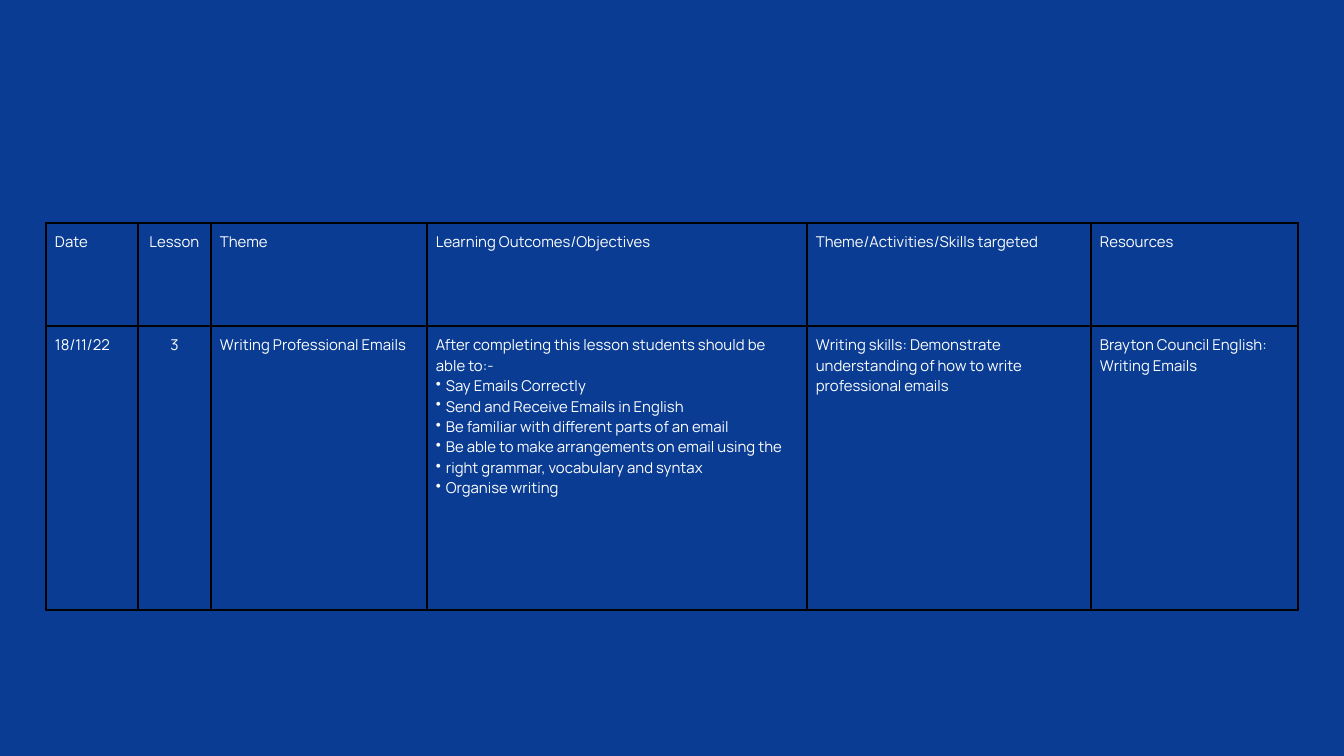
from dataclasses import dataclass

from lxml.etree import SubElement
from pptx import Presentation
from pptx.dml.color import RGBColor
from pptx.enum.text import PP_ALIGN
from pptx.oxml.ns import qn
from pptx.util import Pt


@dataclass(frozen=True)
class Theme:
    background: str = "093C92"
    text: str = "FFFFFF"
    border: str = "000000"
    font: str = "Manrope"
    size: int = 8
    border_width: int = 1


THEME = Theme()
SLIDE_W, SLIDE_H = 1344, 756
EMU_PER_PX = 9144000 / SLIDE_W
CELL_INSET = 9
BULLET_INDENT = 10

COL_WIDTHS = [92, 73, 216, 380, 284, 207]
ROW_HEIGHTS = [103, 284]
CENTERED_COL = 1

HEADERS = ["Date", "Lesson", "Theme", "Learning Outcomes/Objectives",
           "Theme/Activities/Skills targeted", "Resources"]
OBJECTIVES = [
    "After completing this lesson students should be able to:-",
    "•Say Emails Correctly",
    "•Send and Receive Emails in English",
    "•Be familiar with different parts of an email",
    "•Be able to make arrangements on email using the",
    "•right grammar, vocabulary and syntax",
    "•Organise writing",
]
LESSON = ["18/11/22", "3", "Writing Professional Emails", OBJECTIVES,
          "Writing skills: Demonstrate understanding of how to write professional emails",
          "Brayton Council English: Writing Emails"]


def px(n):
    return round(n * EMU_PER_PX)


def set_bullet(p):
    """Give the paragraph a hanging bullet."""
    pPr = p._p.get_or_add_pPr()
    pPr.set("marL", str(px(BULLET_INDENT)))
    pPr.set("indent", str(-px(BULLET_INDENT)))
    SubElement(pPr, qn("a:buChar")).set("char", "•")


def write(tf, text, align=PP_ALIGN.LEFT, size=THEME.size, color=THEME.text):
    """Write one string or a list of paragraphs; a leading • makes a bullet."""
    lines = [text] if isinstance(text, str) else text
    for i, line in enumerate(lines):
        p = tf.paragraphs[0] if i == 0 else tf.add_paragraph()
        p.alignment = align
        if line.startswith("•"):
            set_bullet(p)
        r = p.add_run()
        r.text = line.lstrip("•")
        r.font.name = THEME.font
        r.font.size = Pt(size)
        r.font.color.rgb = RGBColor.from_string(color)


def set_borders(cell):
    tcPr = cell._tc.get_or_add_tcPr()
    for side in ("lnL", "lnR", "lnT", "lnB"):
        ln = SubElement(tcPr, qn(f"a:{side}"))
        ln.set("w", str(Pt(THEME.border_width)))
        fill = SubElement(ln, qn("a:solidFill"))
        SubElement(fill, qn("a:srgbClr")).set("val", THEME.border)


def add_lesson_table(s, left, top, width, height):
    """Place the lesson plan, sharing the box out by column and row weight."""
    rows = [HEADERS, LESSON]
    table = s.shapes.add_table(len(rows), len(HEADERS), px(left), px(top),
                               px(width), px(height)).table
    table.first_row = table.horz_banding = False
    for col, w in zip(table.columns, COL_WIDTHS):
        col.width = px(width * w / sum(COL_WIDTHS))
    for row, h in zip(table.rows, ROW_HEIGHTS):
        row.height = px(height * h / sum(ROW_HEIGHTS))

    for i, texts in enumerate(rows):
        for j, text in enumerate(texts):
            cell = table.cell(i, j)
            cell.margin_left = cell.margin_right = px(CELL_INSET)
            cell.margin_top = cell.margin_bottom = px(CELL_INSET)
            # Borders come before the fill in the cell's properties
            set_borders(cell)
            cell.fill.background()
            align = PP_ALIGN.CENTER if j == CENTERED_COL else PP_ALIGN.LEFT
            write(cell.text_frame, text, align=align)


def main():
    prs = Presentation()
    prs.slide_width, prs.slide_height = px(SLIDE_W), px(SLIDE_H)
    s = prs.slides.add_slide(prs.slide_layouts[6])

    # Background
    s.background.fill.solid()
    s.background.fill.fore_color.rgb = RGBColor.from_string(THEME.background)

    # Lesson plan
    add_lesson_table(s, 46, 223, sum(COL_WIDTHS), sum(ROW_HEIGHTS))
    prs.save("out.pptx")


if __name__ == "__main__":
    main()
